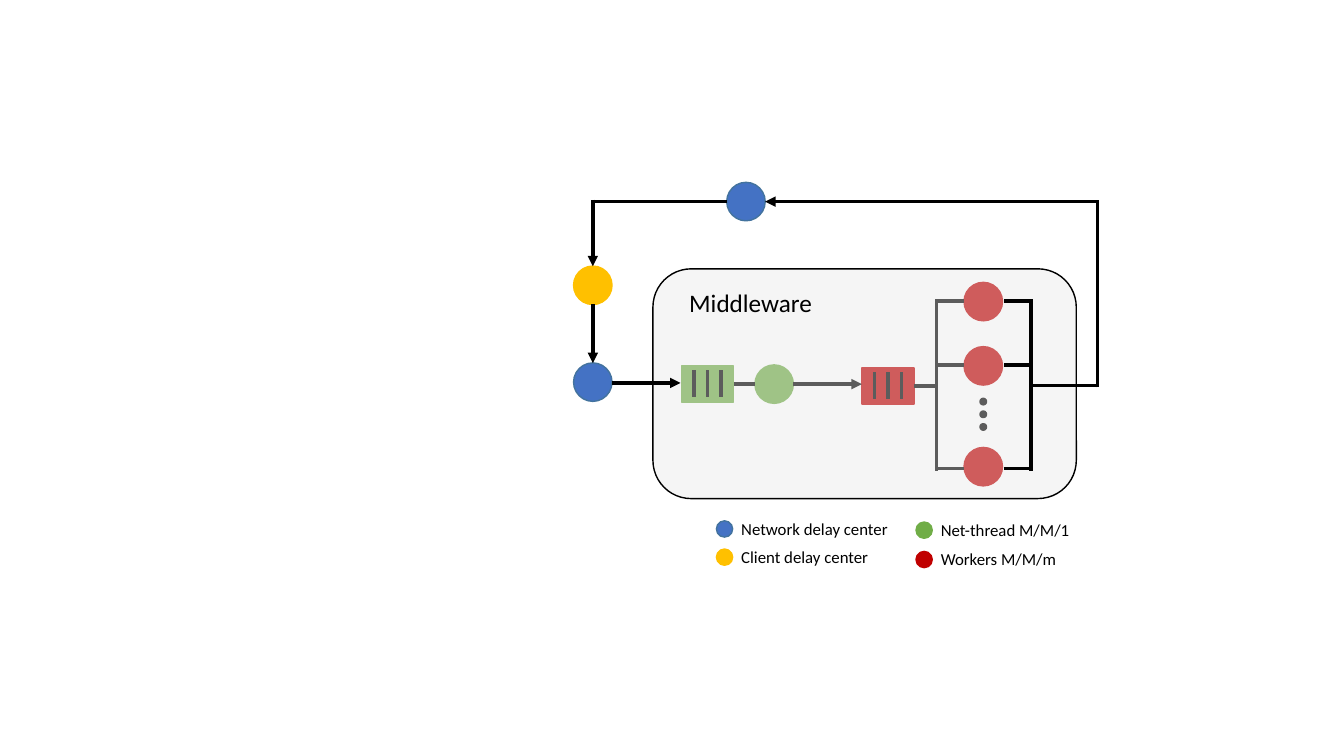
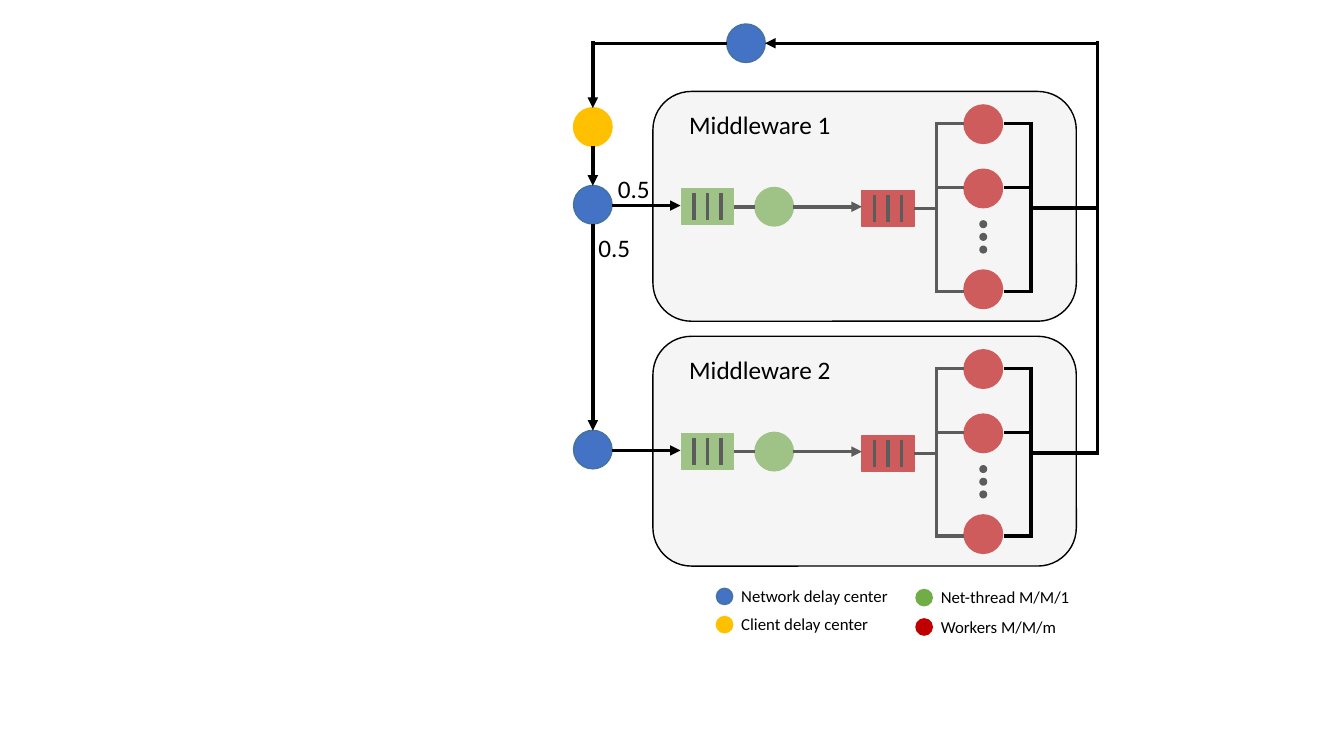
from lxml import etree
from pptx import Presentation
from pptx import util as u
from pptx.dml.color import RGBColor
from pptx.enum import shapes as sh
from pptx.enum import text as tx
from pptx.oxml.ns import qn

BLUE, GOLD, GREEN, RED = "4472C4", "FFC000", "70AD47", "C00000"
EDGE, GRAY, BLACK = "43739E", "E7E6E6", "000000"
OVAL = sh.MSO_SHAPE.OVAL
RECT = sh.MSO_SHAPE.RECTANGLE
ROUND = sh.MSO_SHAPE.ROUNDED_RECTANGLE
NODE, RAD = 0.97, 0.48

# Columns of the flow, in cm
LOOP, NET, QUEUE, THREAD = 14.94, 18.8, 17.83, 19.51
POOL, SPLIT, WORK, JOIN, RAIL = 22.38, 23.6, 24.78, 25.98, 27.66


def put(kind, mid, y, wide, high, fill, edge, size=1):
    """Add a filled shape by its centre in cm."""
    box = page.shapes.add_shape(kind, u.Cm(mid - wide / 2), u.Cm(y - high / 2),
                                u.Cm(wide), u.Cm(high))
    box.shadow.inherit = False
    box.fill.solid()
    box.fill.fore_color.rgb = RGBColor.from_string(fill)
    box.line.color.rgb = RGBColor.from_string(edge)
    box.line.width = u.Pt(size)
    return box


def link(x1, y1, x2, y2, arrow=False):
    """Add a black line in cm, with an arrowhead at its end if asked."""
    wire = page.shapes.add_connector(sh.MSO_CONNECTOR.STRAIGHT, u.Cm(x1),
                                     u.Cm(y1), u.Cm(x2), u.Cm(y2))
    wire.line.color.rgb = RGBColor.from_string(BLACK)
    wire.line.width = u.Pt(2.5)
    props = wire.element.spPr
    if arrow:
        etree.SubElement(props.find(qn("a:ln")), qn("a:tailEnd"), type="triangle")
    etree.SubElement(props, qn("a:effectLst"))


deck = Presentation()
deck.slide_width, deck.slide_height = u.Cm(33.87), u.Cm(19.05)

# Height of the return line, then title and top of each panel, then odds
plans = [
    (5.08, [("Middleware", 6.78)], []),
    (1.09, [("Middleware 1", 2.31), ("Middleware 2", 8.48)],
     [("0.5", 14.83, 5.72), ("0.5", 15.32, 4.24)]),
]
# Legend: text, colour, edge, centre of the dot below the panel top
keys = [
    ("Network delay center", BLUE, EDGE, 18.26, 6.55),
    ("Client delay center", GOLD, GOLD, 18.26, 7.26),
    ("Net-thread M/M/1", GREEN, GREEN, 23.29, 6.58),
    ("Workers M/M/m", RED, RED, 23.29, 7.32),
]

for back, panels, odds in plans:
    page = deck.slides.add_slide(deck.slide_layouts[6])
    labels = [(word, x, y, 1.32, 1.02, 18, False) for word, x, y in odds]

    # Client and network nodes, chained from top to bottom
    client = back + 2.11
    put(OVAL, NET, back, NODE, NODE, BLUE, EDGE)
    put(OVAL, LOOP, client, NODE, NODE, GOLD, GOLD)
    link(NET - RAD, back, LOOP, back)
    link(LOOP, back - 0.05, LOOP, client - RAD, True)
    above = client

    for title, top in panels:
        flow = top + 2.9

        # Queues and net thread
        for x, y, color in [(QUEUE, flow, GREEN), (POOL, flow + 0.05, RED)]:
            put(RECT, x, y, 1.32, 0.91, color, color)
            for step in (-0.34, 0, 0.34):
                link(x + step, y - 0.35, x + step, y + 0.33)
        put(OVAL, THREAD, flow, NODE, NODE, GREEN, GREEN)
        link(QUEUE + 0.66, flow, THREAD - RAD, flow)
        link(THREAD + RAD, flow, POOL - 0.66, flow, True)
        link(POOL + 0.66, flow + 0.05, SPLIT, flow + 0.05)

        # Workers, with dots for those left out
        rows = [(top + 0.82, top + 0.8), (top + 2.44, top + 2.42),
                (top + 4.98, top + 5.03)]
        for mid, tap in rows:
            put(OVAL, WORK, mid, NODE, NODE, RED, RED)
            link(SPLIT - 0.03, tap, WORK - RAD, tap)
        link(SPLIT, top + 0.76, SPLIT, top + 5.08)
        for step in range(3):
            put(OVAL, WORK, top + 3.34 + 0.32 * step, 0.13, 0.13, BLACK, BLACK, 2)

        # Translucent panel veils what lies inside
        panel = put(ROUND, 21.79, top + 2.89, 10.67, 5.79, GRAY, BLACK)
        tint = panel.fill._xPr.find(qn("a:solidFill"))[0]
        etree.SubElement(tint, qn("a:alpha"), val="40000")
        labels.append((title, 17.12, top + 0.33, 4.6, 1.02, 18, True))

        # Way out to the rail
        for mid, tap in rows:
            link(WORK + 0.52, tap, JOIN, tap)
        link(JOIN, top + 0.76, JOIN, top + 5.08)
        link(JOIN, top + 2.93, RAIL, top + 2.93)

        # Way in from the network node
        node = top + 2.85
        put(OVAL, LOOP, node, NODE, NODE, BLUE, EDGE)
        link(LOOP, above + RAD, LOOP, node - RAD, True)
        link(LOOP + RAD, node + 0.02, QUEUE - 0.68, node + 0.02, True)
        above = node

    # Return line
    link(RAIL, top + 2.98, RAIL, back - 0.05)
    link(RAIL, back, NET + RAD, back, True)

    for word, color, edge, x, y in keys:
        put(OVAL, x, top + y, 0.41, 0.41, color, edge)
        labels.append((word, x + 0.17, top + y - 0.39, 4.29, 0.76, 12, True))

    for word, x, y, wide, high, size, wrap in labels:
        box = page.shapes.add_textbox(u.Cm(x), u.Cm(y), u.Cm(wide), u.Cm(high))
        frame = box.text_frame
        frame.word_wrap = wrap
        frame.auto_size = tx.MSO_AUTO_SIZE.SHAPE_TO_FIT_TEXT
        run = frame.paragraphs[0].add_run()
        run.text = word
        run.font.name = "Calibri"
        run.font.size = u.Pt(size)
        run.font.color.rgb = RGBColor.from_string(BLACK)

deck.save("out.pptx")
